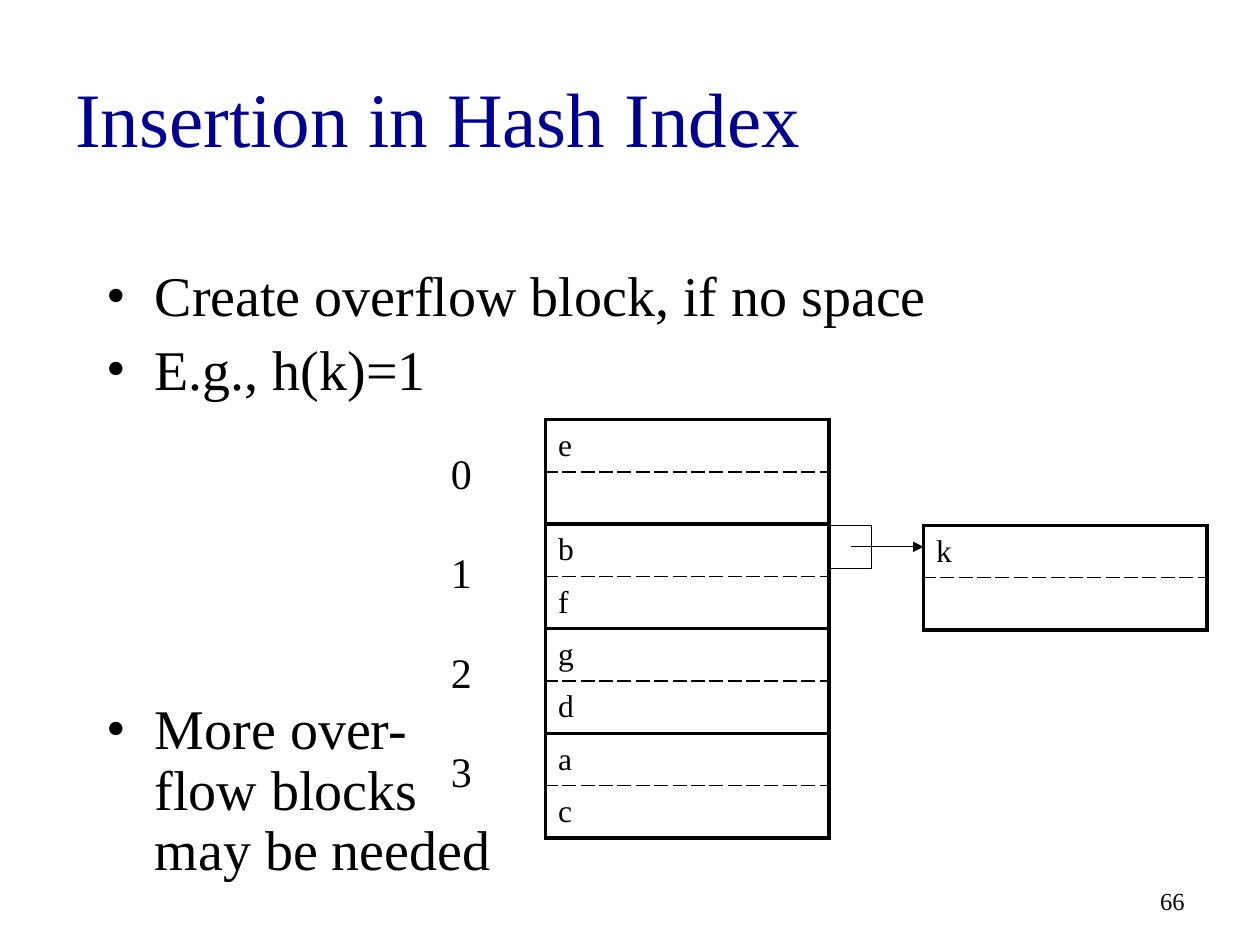
from lxml.etree import SubElement
from pptx import Presentation
from pptx.dml.color import RGBColor
from pptx.enum.shapes import MSO_CONNECTOR, MSO_SHAPE
from pptx.enum.text import MSO_ANCHOR, PP_ALIGN
from pptx.oxml.ns import qn
from pptx.util import Inches, Pt

FONT = "Times New Roman"
BLACK = "000000"
NAVY = "000090"
RECORDS_PER_BLOCK = 2


def color(hex_value):
    return RGBColor.from_string(hex_value)


def write(paragraph, text, size=18, fill=BLACK, align=PP_ALIGN.LEFT, bullet=None, before=0, spacing=None):
    if bullet:
        properties = paragraph._p.get_or_add_pPr()
        properties.set("marL", str(Inches(0.38)))
        properties.set("indent", str(Inches(-0.38)))
        SubElement(properties, qn("a:buFont"), typeface=FONT)
        SubElement(properties, qn("a:buChar"), char=bullet)
    paragraph.text = text
    paragraph.alignment = align
    if before:
        paragraph.space_before = Pt(before)
    if spacing:
        paragraph.line_spacing = spacing
    for run in paragraph.runs:
        run.font.size = Pt(size)
        run.font.name = FONT
        run.font.color.rgb = color(fill)


def add_frame(slide, box, anchor=MSO_ANCHOR.TOP, wrap=True):
    frame = slide.shapes.add_textbox(*map(Inches, box)).text_frame
    frame.word_wrap = wrap
    frame.vertical_anchor = anchor
    return frame


def add_title(slide, box):
    title = add_frame(slide, box, MSO_ANCHOR.MIDDLE)
    write(title.paragraphs[0], "Insertion in Hash Index", size=44, fill=NAVY)


def add_points(slide, box):
    body = add_frame(slide, box)
    points = [
        ("Create overflow block, if no space", 0),
        ("E.g., h(k)=1", 7.4),
        ("More over-\nflow blocks\nmay be needed", 171),
    ]
    for index, (point, before) in enumerate(points):
        paragraph = body.add_paragraph() if index else body.paragraphs[0]
        write(paragraph, point, size=32, bullet="•", before=before, spacing=0.9)


def add_page_number(slide, box):
    number = add_frame(slide, box, MSO_ANCHOR.MIDDLE)
    write(number.paragraphs[0], "66", size=14, align=PP_ALIGN.RIGHT)


def set_border(cell, side, width, dash):
    border = SubElement(cell._tc.get_or_add_tcPr(), qn(f"a:ln{side}"), w=str(Pt(width)))
    fill = SubElement(border, qn("a:solidFill"))
    SubElement(fill, qn("a:srgbClr"), val=BLACK)
    SubElement(border, qn("a:prstDash"), val=dash)


def add_blocks(slide, box, records):
    blocks = slide.shapes.add_table(len(records), 1, *map(Inches, box)).table
    blocks.first_row = False
    blocks.horz_banding = False
    outer, inner = (2.25, "solid"), (1, "lgDash")
    for index, record in enumerate(records):
        blocks.rows[index].height = Inches(box[3] / len(records))
        cell = blocks.cell(index, 0)
        starts_block = index % RECORDS_PER_BLOCK == 0
        ends_block = (index + 1) % RECORDS_PER_BLOCK == 0
        set_border(cell, "L", *outer)
        set_border(cell, "R", *outer)
        set_border(cell, "T", *(outer if starts_block else inner))
        set_border(cell, "B", *(outer if ends_block else inner))
        cell.fill.background()
        cell.vertical_anchor = MSO_ANCHOR.MIDDLE
        write(cell.text_frame.paragraphs[0], record)


def add_bucket_numbers(slide, box, count, step):
    left, top, width, height = box
    for bucket in range(count):
        label = add_frame(slide, (left, top + bucket * step, width, height), wrap=False)
        write(label.paragraphs[0], str(bucket), size=24)


def add_overflow_pointer(slide, box, target):
    left, top, width, height = box
    pointer = slide.shapes.add_shape(MSO_SHAPE.RECTANGLE, *map(Inches, box))
    pointer.shadow.inherit = False
    pointer.fill.background()
    pointer.line.color.rgb = color(BLACK)
    pointer.line.width = Pt(0.75)
    middle = Inches(top + height / 2)
    arrow = slide.shapes.add_connector(
        MSO_CONNECTOR.STRAIGHT, Inches(left + width / 2), middle, Inches(target), middle
    )
    arrow.line.color.rgb = color(BLACK)
    arrow.line.width = Pt(0.75)
    SubElement(arrow.line._get_or_add_ln(), qn("a:tailEnd"), type="triangle")
    SubElement(arrow._element.spPr, qn("a:effectLst"))


def main():
    presentation = Presentation()
    presentation.slide_width = Inches(10)
    presentation.slide_height = Inches(7.5)
    slide = presentation.slides.add_slide(presentation.slide_layouts[6])
    add_page_number(slide, (7.17, 6.95, 2.33, 0.4))
    add_points(slide, (0.75, 2.08, 8.5, 5.08))
    add_title(slide, (0.5, 0.3, 9, 1.25))
    add_blocks(slide, (4.33, 3.33, 2.25, 3.32), ["e", "", "b", "f", "g", "d", "a", "c"])
    add_bucket_numbers(slide, (3.48, 3.5, 0.37, 0.5), count=4, step=0.79)
    add_blocks(slide, (7.33, 4.17, 2.25, 0.83), ["k", ""])
    add_overflow_pointer(slide, (6.58, 4.17, 0.34, 0.34), target=7.33)
    presentation.save("out.pptx")


if __name__ == "__main__":
    main()
